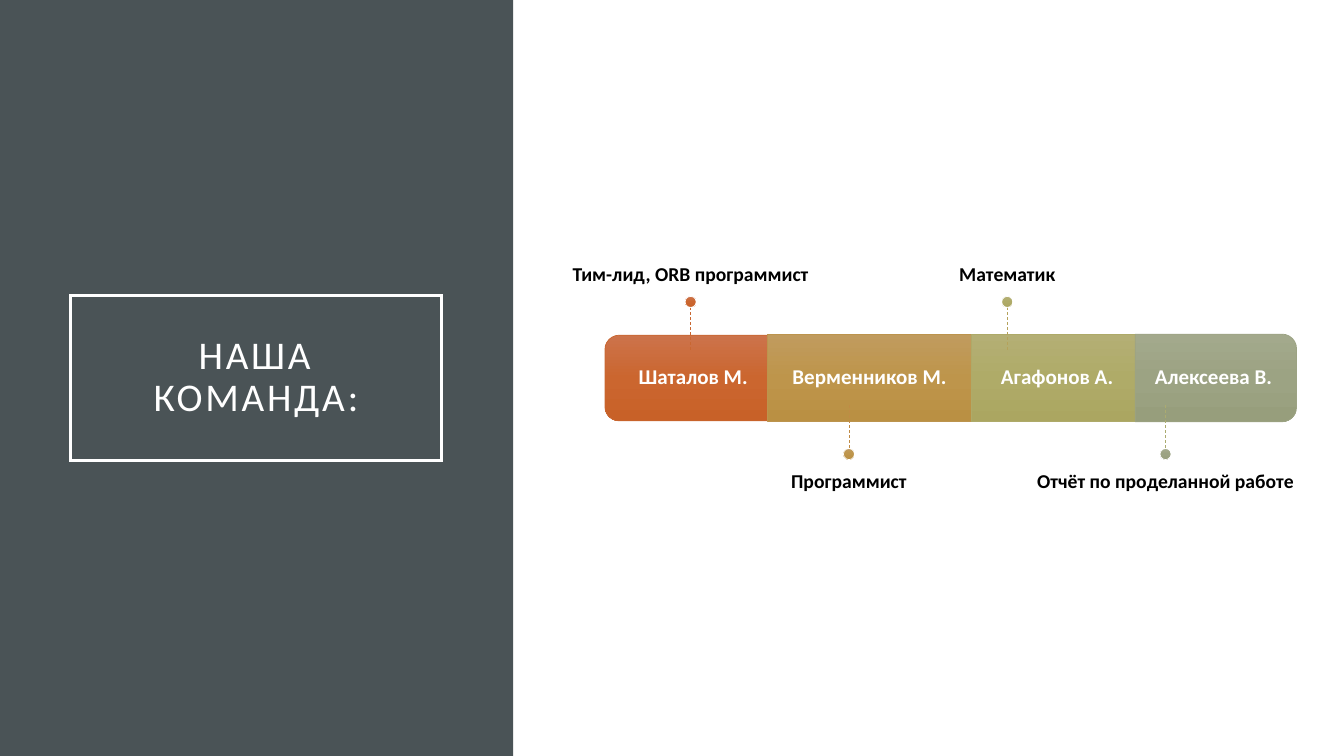
import copy
from dataclasses import dataclass
from typing import Optional

import pptx
import pptx.dml.color
import pptx.enum.dml
import pptx.enum.shapes
import pptx.enum.text
import pptx.oxml.ns
import pptx.util
from pptx.util import Inches

Shape = pptx.enum.shapes.MSO_SHAPE
Anchor = pptx.enum.text.MSO_ANCHOR


@dataclass(frozen=True)
class Theme:
    font: str = "Calibri"
    panel: str = "4A5356"
    light: str = "FFFFFF"
    dark: str = "000000"
    title_size: float = 28
    name_size: float = 15
    role_size: float = 14
    frame_width: float = 2.5
    thin_width: float = 0.5


@dataclass(frozen=True)
class Member:
    name: str
    role: str
    left: float
    width: float
    height: float
    gradient: tuple[str, str, str]
    outline: str
    stem: str
    rotation: int = 0


THEME = Theme()
MIDDLE = 3.75
FIRST_PIN, PIN_STEP = 6.85, 1.57
DOT, STEM = 0.11, 0.43
ROLE_WIDTH, ROLE_HEIGHT = 2.61, 1.89
INSET, ROUNDED_EDGE = 0.12, 0.05

TEAM = [
    Member("Шаталов М.", "Тим-лид, ORB программист", 6.0, 1.7, 0.85,
           ("CC734B", "CB662F", "C86128"), "C96731", "C96731", 270),
    Member("Верменников М.", "Программист", 7.61, 2.03, 0.86,
           ("C09B5E", "BE954B", "BA9043"), "BC944D", "C08B45"),
    Member("Агафонов А.", "Математик", 9.63, 1.71, 0.87,
           ("B4AF75", "AFAB68", "ABA661"), "AEAA69", "B5A25B"),
    Member("Алексеева В.", "Отчёт по проделанной работе", 11.26, 1.6, 0.87,
           ("A3A98C", "9CA383", "979E7C"), "9CA383", "ABAB70", 90),
]


def rgb(value: str) -> pptx.dml.color.RGBColor:
    return pptx.dml.color.RGBColor.from_string(value)


def add_text(page, text: str, left: float, top: float, width: float, height: float, *,
             size: float, color: str, anchor=Anchor.MIDDLE, bold: bool = False,
             insets: tuple[float, float, float, float] = (INSET,) * 4,
             tracking: float = 0):
    """Add a centred text box; insets run left, top, right, bottom."""
    box = page.shapes.add_textbox(Inches(left), Inches(top), Inches(width), Inches(height))
    frame = box.text_frame
    frame.word_wrap = True
    frame.vertical_anchor = anchor
    (frame.margin_left, frame.margin_top,
     frame.margin_right, frame.margin_bottom) = map(Inches, insets)
    para = frame.paragraphs[0]
    para.alignment = pptx.enum.text.PP_ALIGN.CENTER
    para.line_spacing = 0.9
    span = para.add_run()
    span.text = text
    span.font.name = THEME.font
    span.font.size = pptx.util.Pt(size)
    span.font.bold = bold
    span.font.color.rgb = rgb(color)
    if tracking:
        span.font._element.set("spc", str(round(tracking * 100)))
    return box


def set_line(line, color: str, width: float) -> None:
    line.color.rgb = rgb(color)
    line.width = pptx.util.Pt(width)


def set_gradient(fill, colors: tuple[str, str, str]) -> None:
    """Shade from top to bottom, whatever the rotation of the shape."""
    fill.gradient()
    fill.gradient_angle = 270
    last_stop = fill.gradient_stops[-1]._gs
    last_stop.addprevious(copy.deepcopy(last_stop))
    for stop, color, position in zip(fill.gradient_stops, colors, (0, 0.5, 1)):
        stop.color.rgb = rgb(color)
        stop.position = position
    last_stop.getparent().getparent().set("rotWithShape", "0")


def add_shape(page, kind, left: float, top: float, width: float, height: float, *,
              fill: str | tuple[str, str, str], outline: Optional[str] = None):
    shape = page.shapes.add_shape(kind, Inches(left), Inches(top), Inches(width), Inches(height))
    shape.shadow.inherit = False
    if isinstance(fill, str):
        shape.fill.solid()
        shape.fill.fore_color.rgb = rgb(fill)
    else:
        set_gradient(shape.fill, fill)
    if outline:
        set_line(shape.line, outline, THEME.thin_width)
    else:
        shape.line.fill.background()
    return shape


def add_stem(page, x: float, top: float, color: str) -> None:
    stem = page.shapes.add_connector(pptx.enum.shapes.MSO_CONNECTOR.STRAIGHT,
                                     Inches(x), Inches(top), Inches(x), Inches(top + STEM))
    set_line(stem.line, color, THEME.thin_width)
    stem.line.dash_style = pptx.enum.dml.MSO_LINE.DASH
    properties = stem._element.spPr
    properties.append(properties.makeelement(pptx.oxml.ns.qn("a:effectLst"), {}))


def add_block(page, member: Member) -> None:
    """Draw the bar segment; a rotated one has its rounded corners at an end."""
    width, height = member.width, member.height
    kind = Shape.RECTANGLE
    if member.rotation:
        kind = Shape.ROUND_2_SAME_RECTANGLE
        width, height = height, width
    center = member.left + member.width / 2
    block = add_shape(page, kind, center - width / 2, MIDDLE - height / 2, width, height,
                      fill=member.gradient, outline=member.outline)
    block.rotation = member.rotation
    shift = ROUNDED_EDGE if member.rotation == 270 else 0
    trim = ROUNDED_EDGE if member.rotation else 0
    add_text(page, member.name, member.left + shift, MIDDLE - member.height / 2,
             member.width - trim, member.height,
             size=THEME.name_size, color=THEME.light, bold=True)


def add_pin(page, member: Member, x: float, above: bool) -> None:
    """Draw the role with its stem and dot over or under the bar."""
    if above:
        role_top, stem_top, dot_top = 1.06, 3.05, 2.94
        anchor, insets = Anchor.BOTTOM, (0, 0, 0, INSET)
    else:
        role_top, stem_top, dot_top = 4.56, 4.02, 4.45
        anchor, insets = Anchor.TOP, (0, INSET, 0, 0)
    add_text(page, member.role, x - ROLE_WIDTH / 2, role_top, ROLE_WIDTH, ROLE_HEIGHT,
             size=THEME.role_size, color=THEME.dark, bold=True, anchor=anchor, insets=insets)
    add_stem(page, x, stem_top, member.stem)
    add_shape(page, Shape.OVAL, x - DOT / 2, dot_top, DOT, DOT,
              fill=member.gradient, outline=THEME.light)


def add_title(page) -> None:
    title = add_text(page, "НАША КОМАНДА:", 0.7, 2.93, 3.68, 1.64, size=THEME.title_size,
                     color=THEME.light, insets=(0.2,) * 4, tracking=2)
    set_line(title.line, THEME.light, THEME.frame_width)
    outline = title.get_or_add_ln()
    outline.append(outline.makeelement(pptx.oxml.ns.qn("a:miter"), {"lim": "800000"}))


def main() -> None:
    deck = pptx.Presentation()
    deck.slide_width, deck.slide_height = Inches(13.33), Inches(7.5)
    page = deck.slides.add_slide(deck.slide_layouts[6])
    add_shape(page, Shape.RECTANGLE, 0, 0, 5.09, 7.5, fill=THEME.panel)
    add_title(page)
    for index, member in enumerate(TEAM):
        add_block(page, member)
        add_pin(page, member, FIRST_PIN + index * PIN_STEP, above=index % 2 == 0)
    deck.save("out.pptx")


if __name__ == "__main__":
    main()
